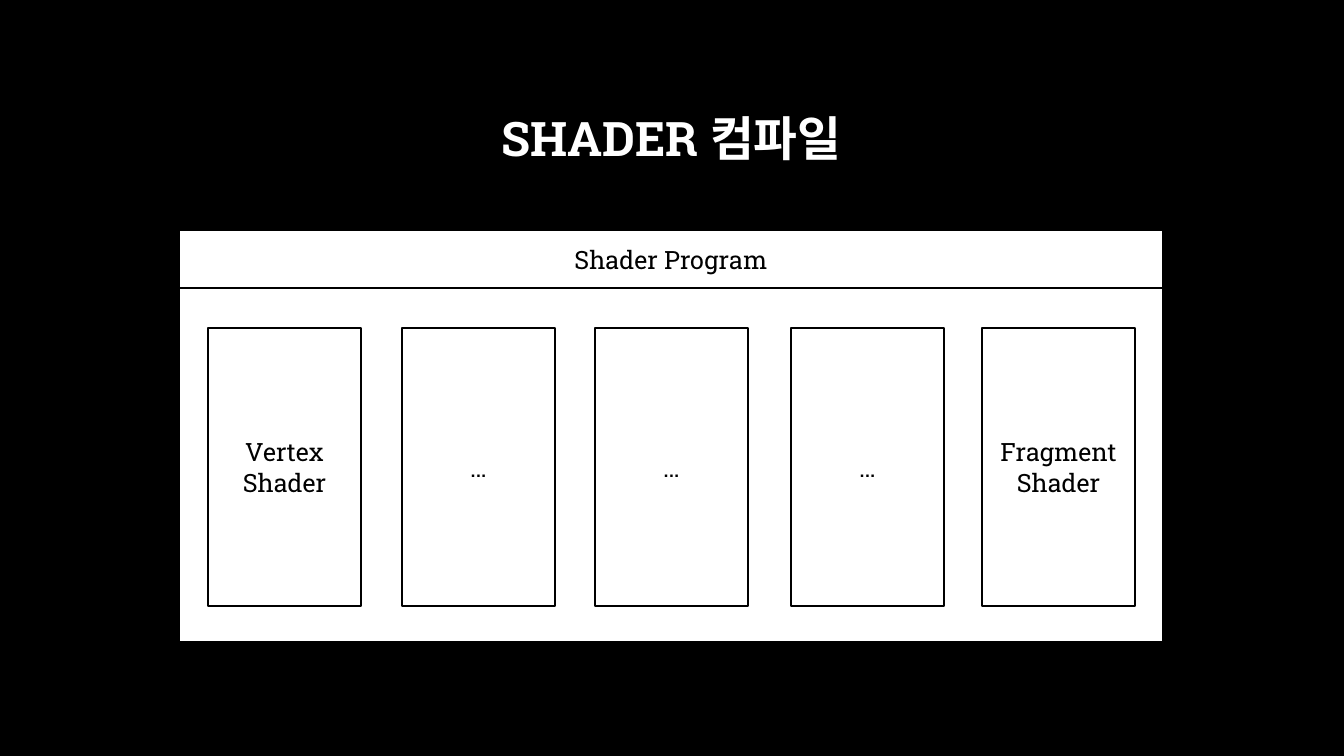
import pptx
import pptx.dml.color
import pptx.enum.lang
import pptx.enum.shapes
import pptx.enum.text
import pptx.util

# Content: stages of the shader program, each with its left edge in px
TITLE = "SHADER 컴파일"
PROGRAM = "Shader Program"
STAGES = [
    ("Vertex Shader", 208),
    ("…", 402),
    ("…", 595),
    ("…", 791),
    ("Fragment Shader", 982),
]

# Layout in px: left, top, width, height
SLIDE_WIDTH, SLIDE_HEIGHT = 1344, 756
TITLE_AREA = (101, 68, 1141, 146)
PANEL_LEFT, PANEL_TOP, PANEL_WIDTH, PANEL_HEIGHT = 179, 230, 984, 412
HEADER_HEIGHT = 58
STAGE_TOP, STAGE_WIDTH, STAGE_HEIGHT = 328, 153, 278

BLACK = pptx.dml.color.RGBColor(0, 0, 0)
WHITE = pptx.dml.color.RGBColor(255, 255, 255)
FONT = "Roboto Slab"
EMU_PER_PX = 914400 / 100.8


def emu(*lengths):
    return [pptx.util.Emu(round(length * EMU_PER_PX)) for length in lengths]


def write(frame, text, size, color):
    frame.word_wrap = True
    frame.vertical_anchor = pptx.enum.text.MSO_ANCHOR.MIDDLE
    paragraph = frame.paragraphs[0]
    paragraph.text = text
    paragraph.alignment = pptx.enum.text.PP_ALIGN.CENTER
    paragraph.font.name = FONT
    paragraph.font.size = pptx.util.Pt(size)
    paragraph.font.color.rgb = color
    return paragraph


def add_box(slide, left, top, width, height, text=""):
    box = slide.shapes.add_shape(
        pptx.enum.shapes.MSO_SHAPE.RECTANGLE, *emu(left, top, width, height))
    box.shadow.inherit = False
    box.fill.solid()
    box.fill.fore_color.rgb = WHITE
    box.line.color.rgb = BLACK
    box.line.width = pptx.util.Pt(1.5)
    if text:
        write(box.text_frame, text, 18, BLACK)


def main():
    deck = pptx.Presentation()
    deck.slide_width, deck.slide_height = emu(SLIDE_WIDTH, SLIDE_HEIGHT)
    slide = deck.slides.add_slide(deck.slide_layouts[6])
    slide.background.fill.solid()
    slide.background.fill.fore_color.rgb = BLACK

    # Title
    title = slide.shapes.add_textbox(*emu(*TITLE_AREA))
    heading = write(title.text_frame, TITLE, 34, WHITE)
    heading.font.bold = True
    heading.line_spacing = 0.9
    heading.runs[0].font.language_id = pptx.enum.lang.MSO_LANGUAGE_ID.KOREAN

    # Program panel, its stages and its header
    add_box(slide, PANEL_LEFT, PANEL_TOP, PANEL_WIDTH, PANEL_HEIGHT)
    for stage, left in STAGES:
        add_box(slide, left, STAGE_TOP, STAGE_WIDTH, STAGE_HEIGHT, stage)
    add_box(slide, PANEL_LEFT, PANEL_TOP, PANEL_WIDTH, HEADER_HEIGHT, PROGRAM)

    deck.save("out.pptx")


if __name__ == "__main__":
    main()
